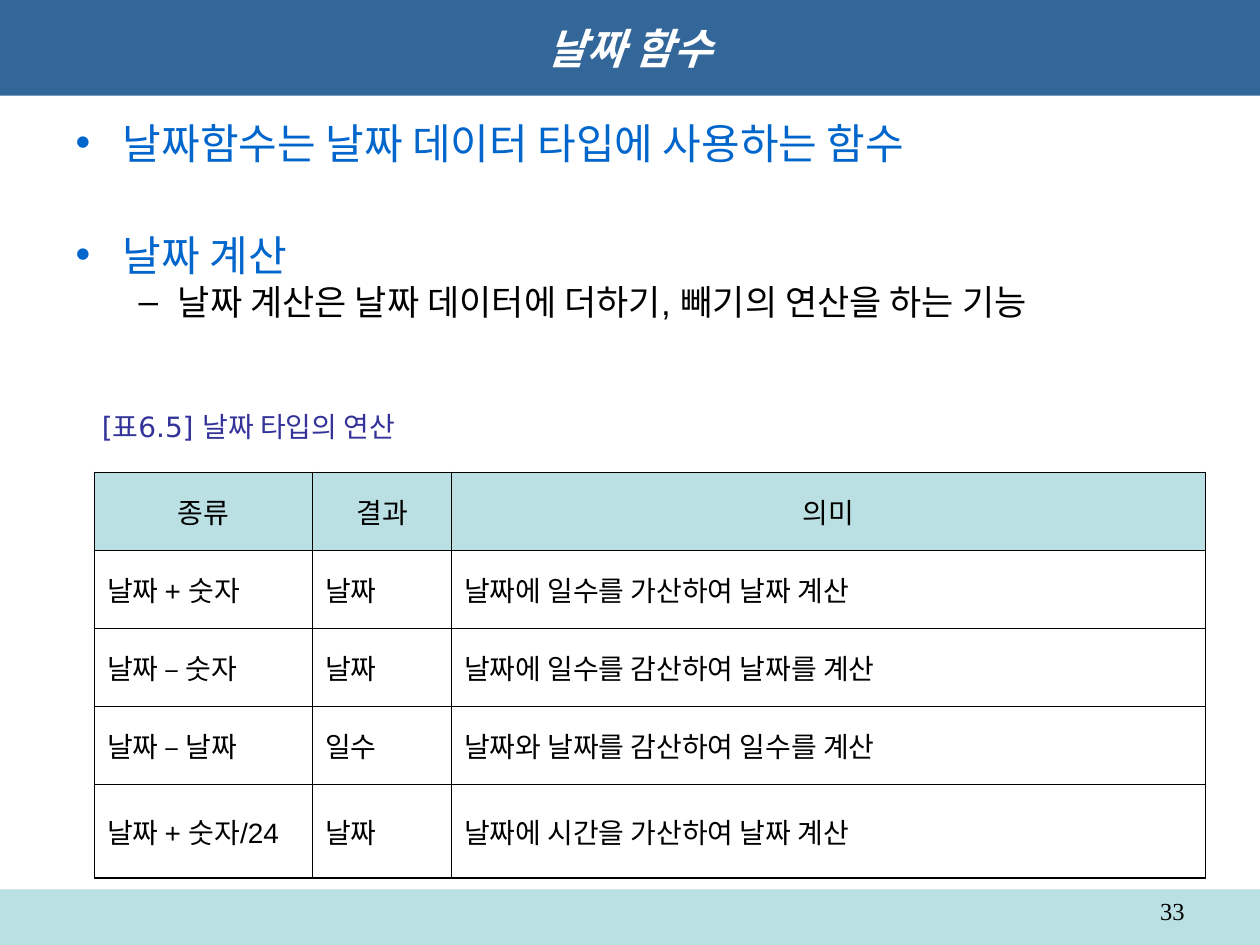
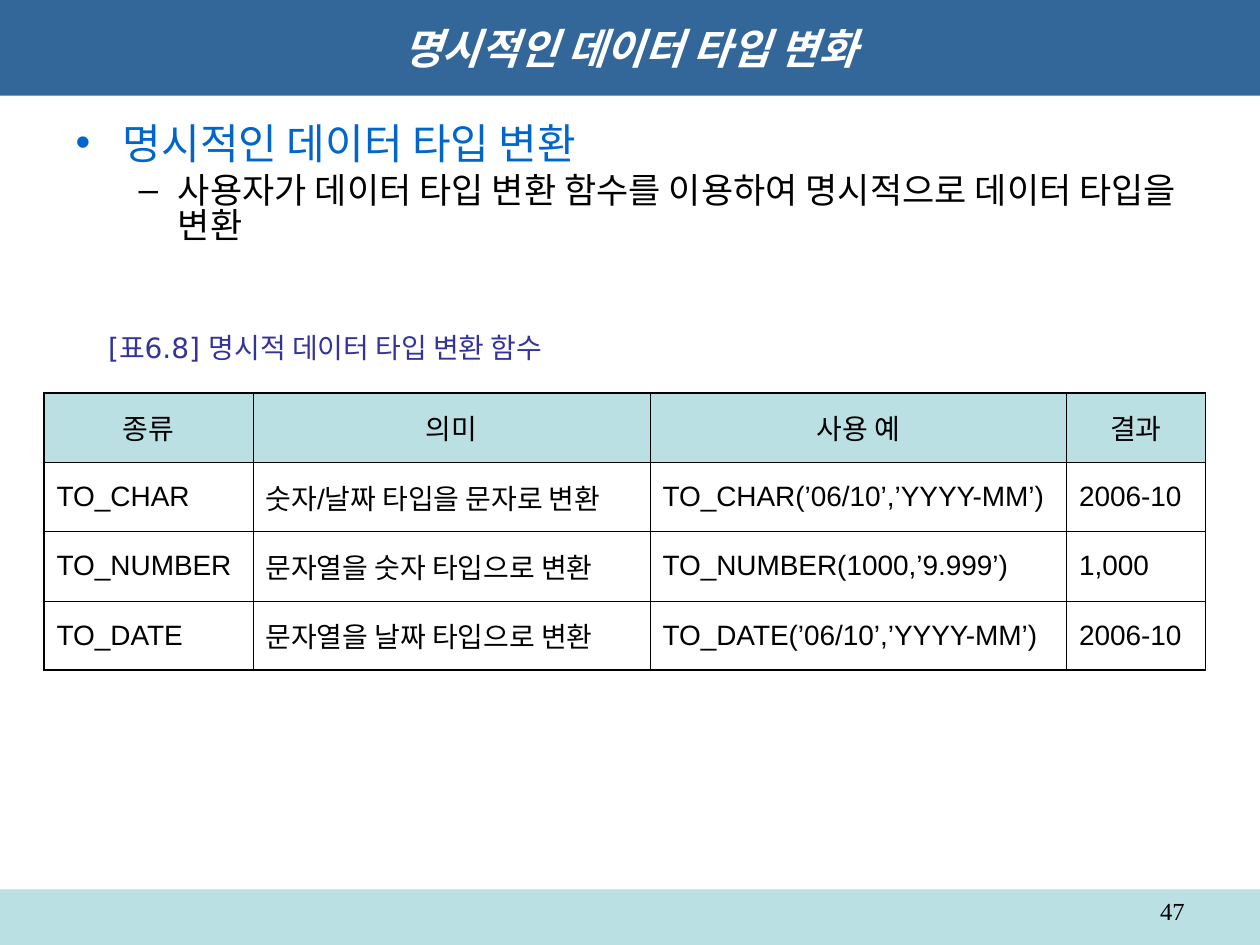
from dataclasses import dataclass
from typing import Any

import lxml.etree
import pptx
import pptx.dml.color
import pptx.enum.shapes
import pptx.enum.text
import pptx.oxml
import pptx.oxml.ns
import pptx.util

Pt = pptx.util.Pt
RGBColor = pptx.dml.color.RGBColor
ALIGN = pptx.enum.text.PP_ALIGN
ANCHOR = pptx.enum.text.MSO_ANCHOR

# Shared colours, fonts and measures
NAVY = RGBColor(0x33, 0x66, 0x99)
AQUA = RGBColor(0xBB, 0xE0, 0xE3)
BLUE = RGBColor(0x00, 0x66, 0xCC)
INDIGO = RGBColor(0x33, 0x33, 0x99)
WHITE = RGBColor(0xFF, 0xFF, 0xFF)
BLACK = RGBColor(0x00, 0x00, 0x00)
SANS, HEADING, SERIF = "Arial", "DejaVu Sans", "Times New Roman"
SLIDE_WIDTH, SLIDE_HEIGHT = 720, 540
TITLE_HEIGHT = 54.72
FOOTER_TOP = 508.32
OUTER_LINE, INNER_LINE = 1.08, 0.45
BODY_LINE_SPACING = 0.82


@dataclass
class Bullet:
    text: str
    level: int = 0
    space_before: float = 0


@dataclass
class Caption:
    text: str
    left: float
    top: float
    width: float


@dataclass
class Grid:
    left: float
    top: float
    column_widths: list[float]
    row_height: float
    rows: list[list[str]]


@dataclass
class Page:
    number: int
    title: str
    bullets: list[Bullet]
    caption: Caption
    grid: Grid


PAGES = [
    Page(
        33,
        "날짜 함수",
        [
            Bullet("날짜함수는 날짜 데이터 타입에 사용하는 함수"),
            Bullet("날짜 계산", space_before=40.6),
            Bullet("날짜 계산은 날짜 데이터에 더하기, 빼기의 연산을 하는 기능", 1, 5),
        ],
        Caption("[표6.5] 날짜 타입의 연산", 51.12, 230.4, 194.4),
        Grid(54, 270, [124.7, 79.4, 430.8], 44.6, [
            ["종류", "결과", "의미"],
            ["날짜 + 숫자", "날짜", "날짜에 일수를 가산하여 날짜 계산"],
            ["날짜 – 숫자", "날짜", "날짜에 일수를 감산하여 날짜를 계산"],
            ["날짜 – 날짜", "일수", "날짜와 날짜를 감산하여 일수를 계산"],
            ["날짜 + 숫자/24", "날짜", "날짜에 시간을 가산하여 날짜 계산"],
        ]),
    ),
    Page(
        47,
        "명시적인 데이터 타입 변화",
        [
            Bullet("명시적인 데이터 타입 변환"),
            Bullet("사용자가 데이터 타입 변환 함수를 이용하여 명시적으로 데이터 타입을 변환", 1, 5),
        ],
        Caption("[표6.8] 명시적 데이터 타입 변환 함수", 54.72, 185.04, 283.7),
        Grid(25.2, 224.6, [119.4, 226.8, 238, 79.4], 39.6, [
            ["종류", "의미", "사용 예", "결과"],
            ["TO_CHAR", "숫자/날짜 타입을 문자로 변환", "TO_CHAR(’06/10’,’YYYY-MM’)", "2006-10"],
            ["TO_NUMBER", "문자열을 숫자 타입으로 변환", "TO_NUMBER(1000,’9.999’)", "1,000"],
            ["TO_DATE", "문자열을 날짜 타입으로 변환", "TO_DATE(’06/10’,’YYYY-MM’)", "2006-10"],
        ]),
    ),
]


def write_text(paragraph: Any, text: str, *, size: float, color: RGBColor, font: str = SANS,
               bold: bool = False, italic: bool = False, align: Any = ALIGN.LEFT) -> None:
    paragraph.alignment = align
    run = paragraph.add_run()
    run.text = text
    run.font.name = font
    run.font.size = Pt(size)
    run.font.bold = bold
    run.font.italic = italic
    run.font.color.rgb = color


def place(shape: Any, left: float, top: float, width: float, height: float) -> None:
    shape.left, shape.top = Pt(left), Pt(top)
    shape.width, shape.height = Pt(width), Pt(height)


def add_footer(slide: Any, number: int) -> None:
    band = slide.shapes.add_shape(
        pptx.enum.shapes.MSO_SHAPE.RECTANGLE,
        Pt(0), Pt(FOOTER_TOP), Pt(SLIDE_WIDTH), Pt(SLIDE_HEIGHT - FOOTER_TOP))
    band.shadow.inherit = False
    band.fill.solid()
    band.fill.fore_color.rgb = AQUA
    band.line.fill.background()
    box = slide.shapes.add_textbox(Pt(516.24), Pt(FOOTER_TOP), Pt(167.76), Pt(20.88))
    box.text_frame.word_wrap = True
    write_text(box.text_frame.paragraphs[0], str(number),
               size=14, color=BLACK, font=SERIF, align=ALIGN.RIGHT)


def fill_title(slide: Any, text: str) -> None:
    title = slide.shapes.title
    place(title, 0, 0, SLIDE_WIDTH, TITLE_HEIGHT)
    title.fill.solid()
    title.fill.fore_color.rgb = NAVY
    title.text_frame.auto_size = pptx.enum.text.MSO_AUTO_SIZE.NONE
    title.text_frame.vertical_anchor = ANCHOR.MIDDLE
    write_text(title.text_frame.paragraphs[0], text, size=24, color=WHITE,
               font=HEADING, bold=True, italic=True, align=ALIGN.CENTER)


def fill_body(slide: Any, bullets: list[Bullet]) -> None:
    body = slide.placeholders[1]
    place(body, 36, 68.4, 648, 428.4)
    frame = body.text_frame
    frame.auto_size = pptx.enum.text.MSO_AUTO_SIZE.NONE
    for index, bullet in enumerate(bullets):
        paragraph = frame.add_paragraph() if index else frame.paragraphs[0]
        paragraph.level = bullet.level
        paragraph.space_before = Pt(bullet.space_before)
        paragraph.line_spacing = BODY_LINE_SPACING
        size, color = ((24, BLUE), (20, BLACK))[bullet.level]
        write_text(paragraph, bullet.text, size=size, color=color)


def add_caption(slide: Any, caption: Caption) -> None:
    box = slide.shapes.add_textbox(
        Pt(caption.left), Pt(caption.top), Pt(caption.width), Pt(26.64))
    box.text_frame.word_wrap = False
    box.text_frame.vertical_anchor = ANCHOR.MIDDLE
    write_text(box.text_frame.paragraphs[0], caption.text,
               size=16, color=INDIGO, font=HEADING)


def set_borders(cell: Any, widths: dict[str, float]) -> None:
    properties = cell._tc.get_or_add_tcPr()
    for side, width in widths.items():
        line = lxml.etree.SubElement(
            properties, pptx.oxml.ns.qn(f"a:ln{side}"), w=str(int(Pt(width))))
        fill = lxml.etree.SubElement(line, pptx.oxml.ns.qn("a:solidFill"))
        lxml.etree.SubElement(fill, pptx.oxml.ns.qn("a:srgbClr"), val=str(BLACK))


def add_grid(slide: Any, grid: Grid) -> None:
    row_count, column_count = len(grid.rows), len(grid.column_widths)
    table = slide.shapes.add_table(
        row_count, column_count, Pt(grid.left), Pt(grid.top),
        Pt(sum(grid.column_widths)), Pt(grid.row_height * row_count)).table
    table.horz_banding = False
    for column, width in zip(table.columns, grid.column_widths):
        column.width = Pt(width)
    for row_index, texts in enumerate(grid.rows):
        table.rows[row_index].height = Pt(grid.row_height)
        is_header = row_index == 0
        for column_index, text in enumerate(texts):
            cell = table.cell(row_index, column_index)
            outer_sides = {
                "L": column_index == 0,
                "R": column_index == column_count - 1,
                "T": is_header,
                "B": row_index == row_count - 1,
            }
            set_borders(cell, {side: OUTER_LINE if outer else INNER_LINE
                               for side, outer in outer_sides.items()})
            if is_header:
                cell.fill.solid()
                cell.fill.fore_color.rgb = AQUA
            else:
                cell.fill.background()
            cell.vertical_anchor = ANCHOR.MIDDLE
            write_text(cell.text_frame.paragraphs[0], text, size=16, color=BLACK,
                       align=ALIGN.CENTER if is_header else ALIGN.LEFT)


def main() -> None:
    presentation = pptx.Presentation()
    presentation.slide_width = Pt(SLIDE_WIDTH)
    presentation.slide_height = Pt(SLIDE_HEIGHT)
    for page in PAGES:
        slide = presentation.slides.add_slide(presentation.slide_layouts[1])
        fill_title(slide, page.title)
        fill_body(slide, page.bullets)
        add_grid(slide, page.grid)
        add_caption(slide, page.caption)
        add_footer(slide, page.number)
    presentation.save("out.pptx")


if __name__ == "__main__":
    main()
